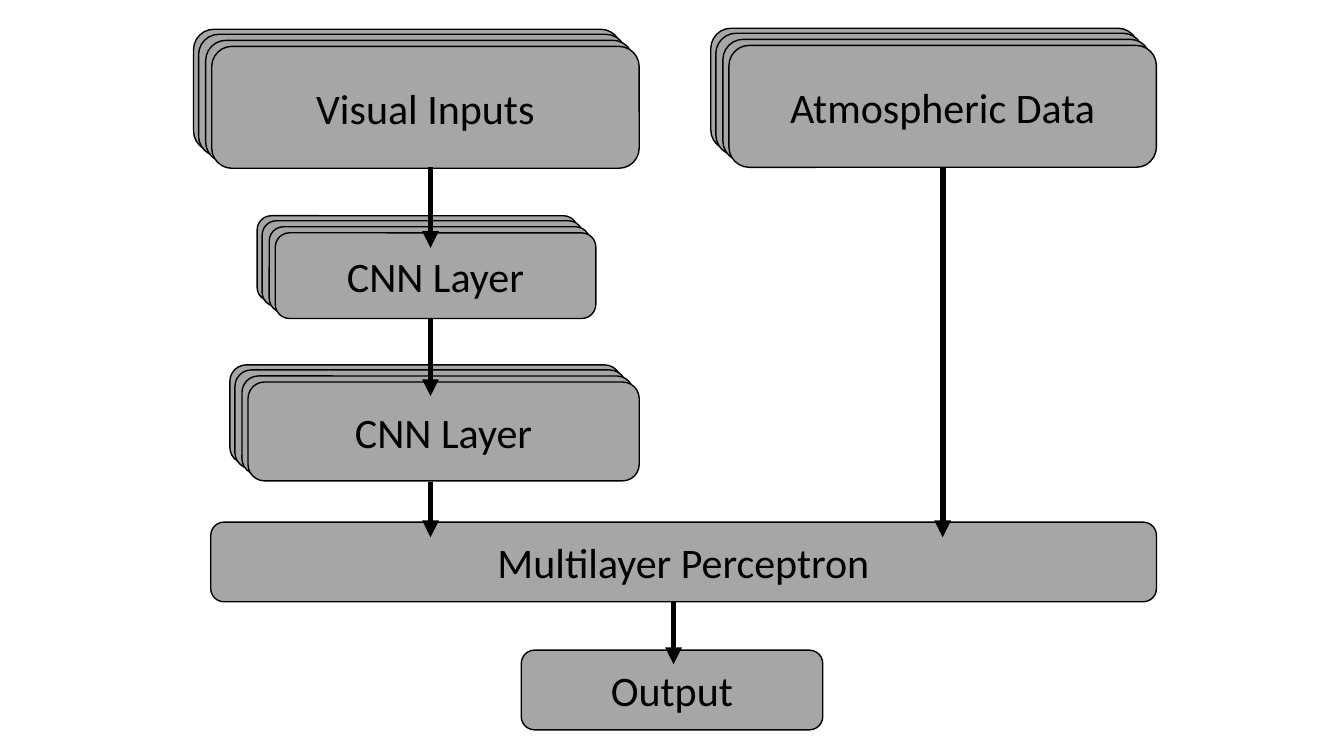
from lxml import etree
from pptx import Presentation
from pptx.dml.color import RGBColor
from pptx.enum.shapes import MSO_CONNECTOR, MSO_SHAPE
from pptx.enum.text import MSO_ANCHOR, PP_ALIGN
from pptx.oxml.ns import qn
from pptx.util import Inches, Pt

ROUND = MSO_SHAPE.ROUNDED_RECTANGLE
STRAIGHT = MSO_CONNECTOR.STRAIGHT
MIDDLE = MSO_ANCHOR.MIDDLE
CENTER = PP_ALIGN.CENTER

GREY = "A6A6A6"
BLACK = "000000"
# Shift of each card in a stack, from the back card to the front one
SHIFTS = [(0.18, 0.17), (0.13, 0.12), (0.06, 0.06), (0, 0)]

# Front card of each stack: label, left, top, width, height
STACKS = [
    ("Visual Inputs", 2.1, 0.46, 4.24, 1.21),
    ("CNN Layer", 2.73, 2.31, 3.18, 0.85),
    ("CNN Layer", 2.46, 3.79, 3.88, 0.98),
    ("Atmospheric Data", 7.23, 0.45, 4.24, 1.21),
]
BOXES = [
    ("Multilayer Perceptron", 2.09, 5.18, 9.38, 0.79),
    ("Output", 5.17, 6.45, 2.99, 0.79),
]
# Each arrow points down: x, top, bottom
ARROWS = [
    (4.27, 1.66, 2.46),
    (4.27, 3.16, 3.93),
    (4.27, 4.78, 5.33),
    (6.68, 5.97, 6.59),
    (9.35, 1.66, 5.33),
]


def color(code):
    return RGBColor.from_string(code)


def add_box(slide, label, left, top, width, height):
    box = slide.shapes.add_shape(
        ROUND, Inches(left), Inches(top), Inches(width), Inches(height))
    box.shadow.inherit = False
    box.fill.solid()
    box.fill.fore_color.rgb = color(GREY)
    box.line.color.rgb = color(BLACK)
    box.line.width = Pt(1)
    if label:
        frame = box.text_frame
        frame.text = label
        frame.vertical_anchor = MIDDLE
        para = frame.paragraphs[0]
        para.alignment = CENTER
        font = para.runs[0].font
        font.name = "Calibri"
        font.size = Pt(30)
        font.color.rgb = color(BLACK)


def add_stack(slide, label, left, top, width, height):
    """Draw overlapping cards with the label on the front one."""
    for dx, dy in SHIFTS:
        text = "" if dx else label
        add_box(slide, text, left - dx, top - dy, width, height)


def add_arrow(slide, x, top, bottom):
    arrow = slide.shapes.add_connector(
        STRAIGHT, Inches(x), Inches(top), Inches(x), Inches(bottom))
    arrow.line.color.rgb = color(BLACK)
    arrow.line.width = Pt(4)
    props = arrow._element.spPr
    etree.SubElement(props.find(qn("a:ln")), qn("a:tailEnd"), type="triangle")
    etree.SubElement(props, qn("a:effectLst"))


def main():
    deck = Presentation()
    deck.slide_width = Inches(13.33)
    deck.slide_height = Inches(7.5)
    slide = deck.slides.add_slide(deck.slide_layouts[6])
    for stack in STACKS:
        add_stack(slide, *stack)
    for box in BOXES:
        add_box(slide, *box)
    for arrow in ARROWS:
        add_arrow(slide, *arrow)
    deck.save("out.pptx")


if __name__ == "__main__":
    main()
